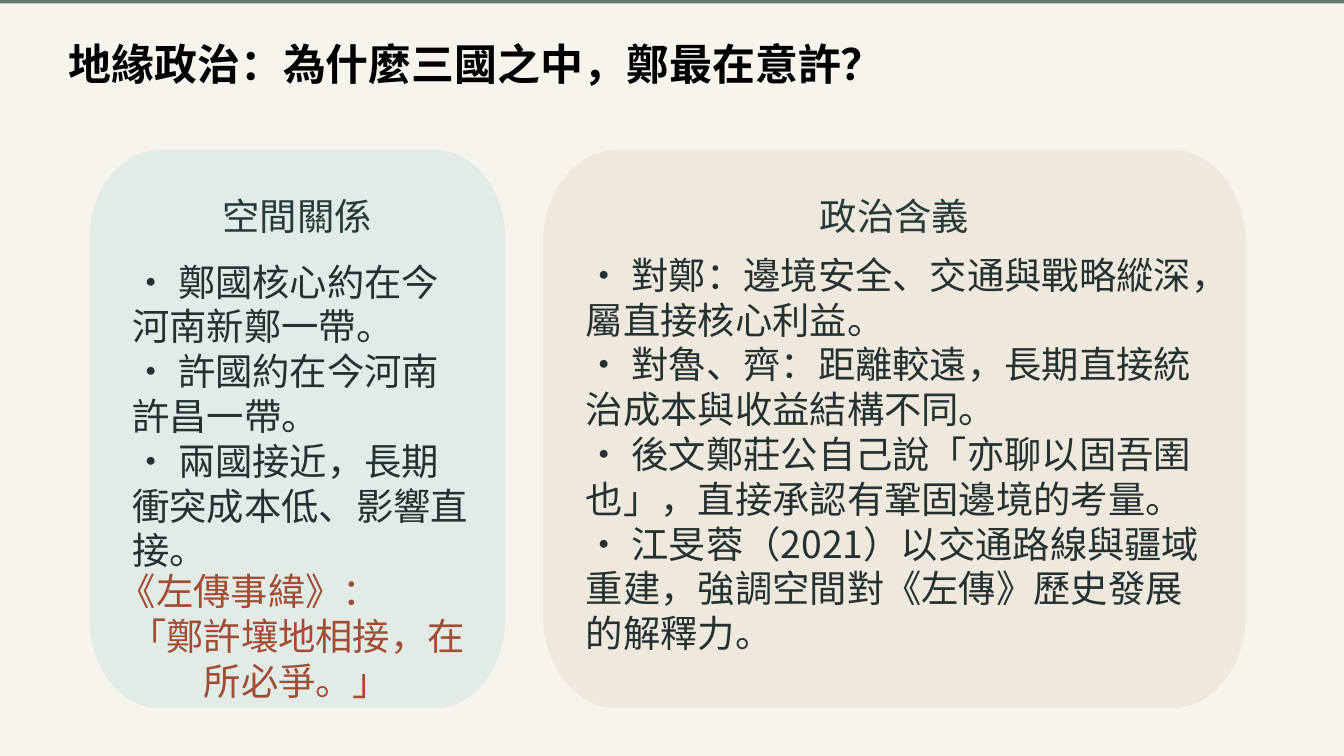
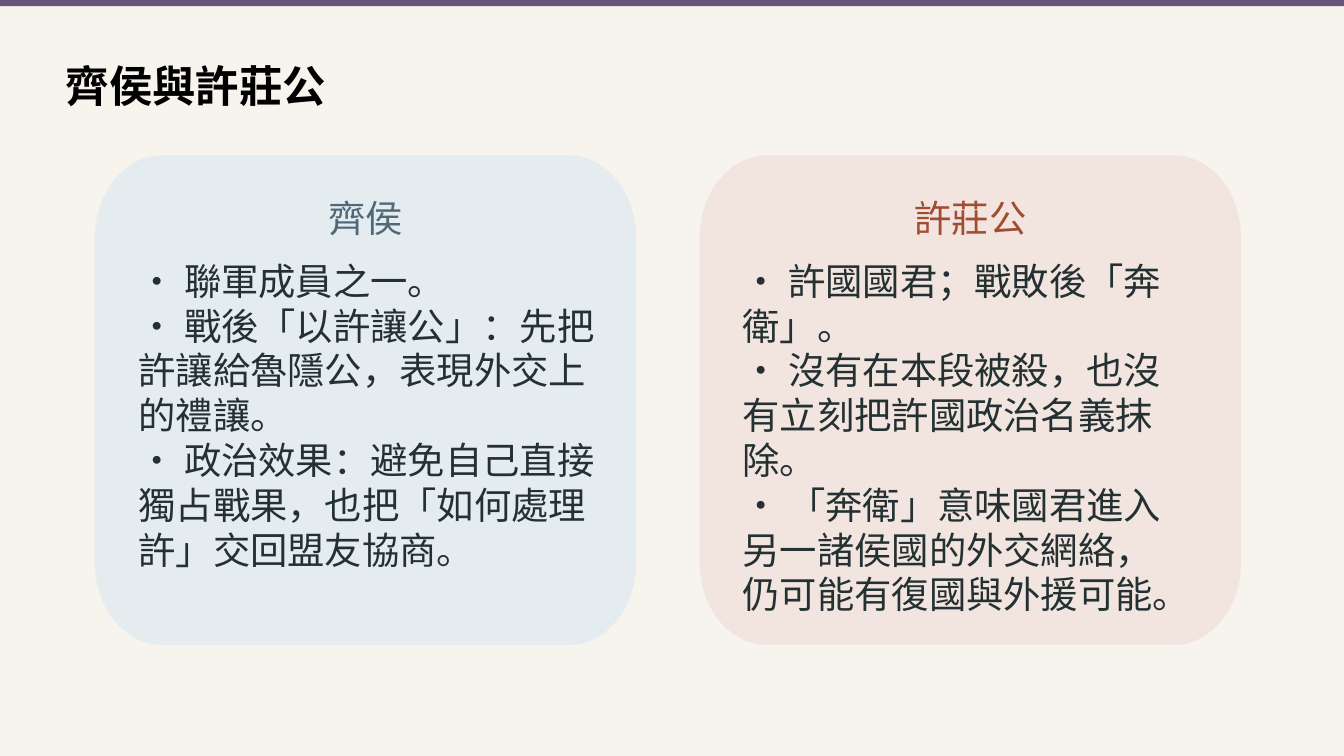
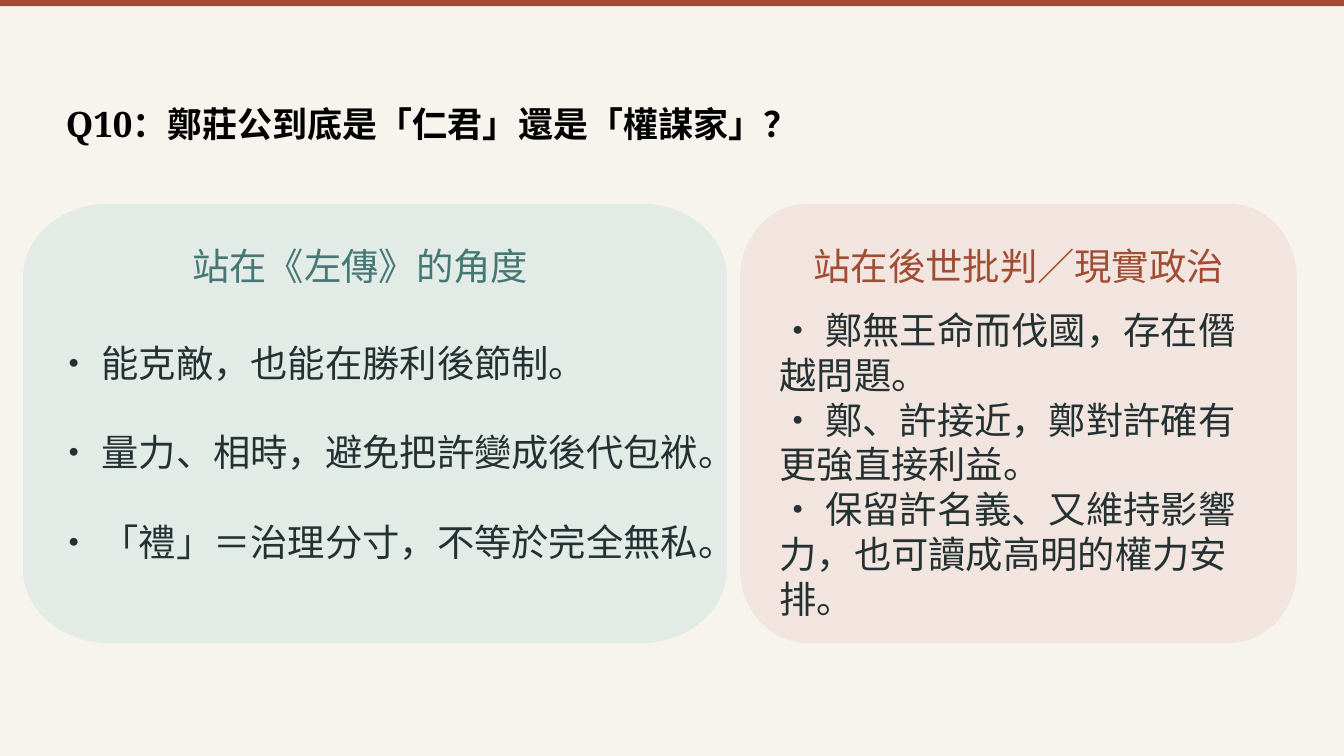
from pptx import Presentation
from pptx.dml.color import RGBColor as RGB
from pptx.enum.lang import MSO_LANGUAGE_ID as LANG
from pptx.enum.shapes import MSO_SHAPE as SHAPE
from pptx.enum.text import MSO_AUTO_SIZE as FIT, PP_ALIGN as ALIGN
from pptx.oxml.ns import qn
from pptx.util import Inches, Pt

WIDE, HIGH = 20, 11.25
CREAM = RGB(0xF7, 0xF4, 0xEE)
MOSS = RGB(0x64, 0x7A, 0x73)
PLUM = RGB(0x68, 0x54, 0x78)
RUST = RGB(0xA1, 0x4D, 0x34)
MINT = RGB(0xE3, 0xEB, 0xE7)
SAND = RGB(0xEE, 0xE8, 0xDD)
MIST = RGB(0xE5, 0xEC, 0xF0)
ROSE = RGB(0xF2, 0xE4, 0xDF)
PINE = RGB(0x26, 0x3A, 0x3A)
STEEL = RGB(0x4F, 0x69, 0x79)
TEAL = RGB(0x45, 0x78, 0x75)
INK = RGB(0x24, 0x31, 0x32)
BLACK = RGB(0, 0, 0)

SANS, SERIF, CJK = "Noto Sans", "Noto Serif", "Noto Sans CJK JP"
SIZE = 40
LEAD = 1.2
BEND = 0.55
BODY = {"name": CJK, "size": Pt(SIZE), "bold": False}
TITLE = {"name": SANS, "size": Pt(46), "bold": True}


def paint(shape, color):
    shape.shadow.inherit = False
    shape.fill.solid()
    shape.fill.fore_color.rgb = color


def add_text(slide, box, lines, color, form=BODY, aligns=(), gap=0, wrap=True):
    """Put lines in a box without insets; aligns gives the alignment per line."""
    shape = slide.shapes.add_textbox(*map(Inches, box))
    frame = shape.text_frame
    frame.margin_left = frame.margin_right = 0
    frame.margin_top = frame.margin_bottom = 0
    frame.word_wrap = wrap
    frame.auto_size = FIT.SHAPE_TO_FIT_TEXT
    for i, line in enumerate(lines):
        para = frame.paragraphs[0] if i == 0 else frame.add_paragraph()
        para.line_spacing = Pt(form["size"].pt * LEAD)
        if i and gap:
            para.space_before = Pt(gap)
        if aligns:
            para.alignment = aligns[i]
        run = para.add_run()
        run.text = line
        font = run.font
        for key, value in form.items():
            setattr(font, key, value)
        font.language_id = LANG.SIMPLIFIED_CHINESE
        font.color.rgb = color
        east = run._r.get_or_add_rPr().makeelement(
            qn("a:ea"), {"typeface": form["name"]})
        run._r.rPr.find(qn("a:latin")).addnext(east)


def add_page(deck, band, thick, title, left, top, **form):
    slide = deck.slides.add_slide(deck.slide_layouts[6])
    slide.background.fill.solid()
    slide.background.fill.fore_color.rgb = CREAM
    bar = slide.shapes.add_shape(
        SHAPE.RECTANGLE, 0, 0, Inches(WIDE), Inches(thick))
    paint(bar, band)
    bar.line.fill.background()
    form = {**TITLE, **form}
    tall = form["size"].pt * LEAD / 72
    add_text(slide, (left, top, 17.9, tall), [title], BLACK, form)
    return slide


def curve(line, start, tip, end):
    """Turn a line of an outline into a curve that bends towards tip."""
    line.tag = qn("a:cubicBezTo")
    line.clear()
    pulls = [[a + BEND * (b - a) for a, b in zip(dot, tip)]
             for dot in (start, end)]
    for x, y in (*pulls, end):
        line.append(line.makeelement(
            qn("a:pt"), {"x": str(round(x)), "y": str(round(y))}))


def add_panel(slide, box, rx, ry, color):
    """Draw a panel whose corners are quarter ellipses."""
    x, y, w, h, rx, ry = map(Inches, (*box, rx, ry))
    dots = [(0, ry), (rx, 0), (w - rx, 0), (w, ry),
            (w, h - ry), (w - rx, h), (rx, h), (0, h - ry)]
    tips = [(0, 0), (w, 0), (w, h), (0, h)]
    pen = slide.shapes.build_freeform(*dots[0])
    pen.add_line_segments(dots[1:], close=True)
    shape = pen.convert_to_shape(x, y)
    lines = list(shape._element.iter(qn("a:lnTo")))
    for i, tip in enumerate(tips):
        curve(lines[2 * i], dots[2 * i], tip, dots[2 * i + 1])
    paint(shape, color)
    shape.line.color.rgb = color
    shape.line.width = Pt(1.05)


def add_head(slide, text, mid, top, color):
    """Centre a one-line heading on mid."""
    wide = len(text) * SIZE / 72
    add_text(slide, (mid - wide / 2, top, wide, 0.66), [text], color,
             aligns=[ALIGN.CENTER], wrap=False)


def add_list(slide, box, items, gap=0):
    add_text(slide, box, ["• " + item for item in items], INK, gap=gap)


def build_place(deck):
    slide = add_page(deck, MOSS, 0.05, "地緣政治：為什麼三國之中，鄭最在意許？",
                     1.02, 0.56)
    add_panel(slide, (1.34, 2.24, 6.17, 8.29), 1.03, 1.32, MINT)
    add_head(slide, "空間關係", 4.42, 2.87, PINE)
    add_list(slide, (1.97, 3.85, 5.1, 4.59), [
        "鄭國核心約在今河南新鄭一帶。",
        "許國約在今河南許昌一帶。",
        "兩國接近，長期衝突成本低、影響直接。"])
    add_text(slide, (1.77, 8.46, 5.3, 1.97),
             ["《左傳事緯》：", "「鄭許壤地相接，在所必爭。」"], RUST,
             aligns=[ALIGN.LEFT, ALIGN.CENTER])
    add_panel(slide, (8.09, 2.24, 10.44, 8.29), 1.08, 1.38, SAND)
    add_head(slide, "政治含義", 13.31, 2.87, PINE)
    add_list(slide, (8.72, 3.75, 9.23, 5.91), [
        "對鄭：邊境安全、交通與戰略縱深，屬直接核心利益。",
        "對魯、齊：距離較遠，長期直接統治成本與收益結構不同。",
        "後文鄭莊公自己說「亦聊以固吾圉也」，直接承認有鞏固邊境的考量。",
        "江旻蓉（2021）以交通路線與疆域重建，強調空間對《左傳》歷史發展的解釋力。"])


def build_lords(deck):
    slide = add_page(deck, PLUM, 0.09, "齊侯與許莊公", 0.98, 0.88,
                     size=Pt(46.5))
    lords = [
        ("齊侯", 1.42, MIST, STEEL, (2.06, 3.84, 6.82, 4.59), [
            "聯軍成員之一。",
            "戰後「以許讓公」：先把許讓給魯隱公，表現外交上的禮讓。",
            "政治效果：避免自己直接獨占戰果，也把「如何處理許」交回盟友協商。"]),
        ("許莊公", 10.42, ROSE, RUST, (11.05, 3.84, 6.61, 5.25), [
            "許國國君；戰敗後「奔衛」。",
            "沒有在本段被殺，也沒有立刻把許國政治名義抹除。",
            "「奔衛」意味國君進入另一諸侯國的外交網絡，仍可能有復國與外援可能。"])]
    wide = 8.04
    for name, left, fill, color, box, items in lords:
        add_panel(slide, (left, 2.32, wide, 7.27), 0.99, 1.21, fill)
        add_head(slide, name, left + wide / 2, 2.9, color)
        add_list(slide, box, items)


def build_views(deck):
    slide = add_page(deck, RUST, 0.09, "Q10：鄭莊公到底是「仁君」還是「權謀家」？",
                     0.98, 1.53, name=SERIF, size=Pt(37.5))
    views = [
        ("站在《左傳》的角度", 5.36, TEAL, 0.35, 10.46, 1.26, MINT,
         (0.83, 5.06, 10.19, 3.28), 48, [
             "能克敵，也能在勝利後節制。",
             "量力、相時，避免把許變成後代包袱。",
             "「禮」＝治理分寸，不等於完全無私。"]),
        ("站在後世批判／現實政治", 15.16, RUST, 11.02, 8.27, 0.99, ROSE,
         (11.6, 4.57, 7.12, 4.59), 0, [
             "鄭無王命而伐國，存在僭越問題。",
             "鄭、許接近，鄭對許確有更強直接利益。",
             "保留許名義、又維持影響力，也可讀成高明的權力安排。"])]
    for name, mid, color, left, wide, rx, fill, box, gap, items in views:
        add_panel(slide, (left, 3.04, wide, 6.52), rx, 1.09, fill)
        add_head(slide, name, mid, 3.62, color)
        add_list(slide, box, items, gap)


def main():
    deck = Presentation()
    deck.slide_width, deck.slide_height = Inches(WIDE), Inches(HIGH)
    for build in (build_place, build_lords, build_views):
        build(deck)
    deck.save("out.pptx")


if __name__ == "__main__":
    main()
